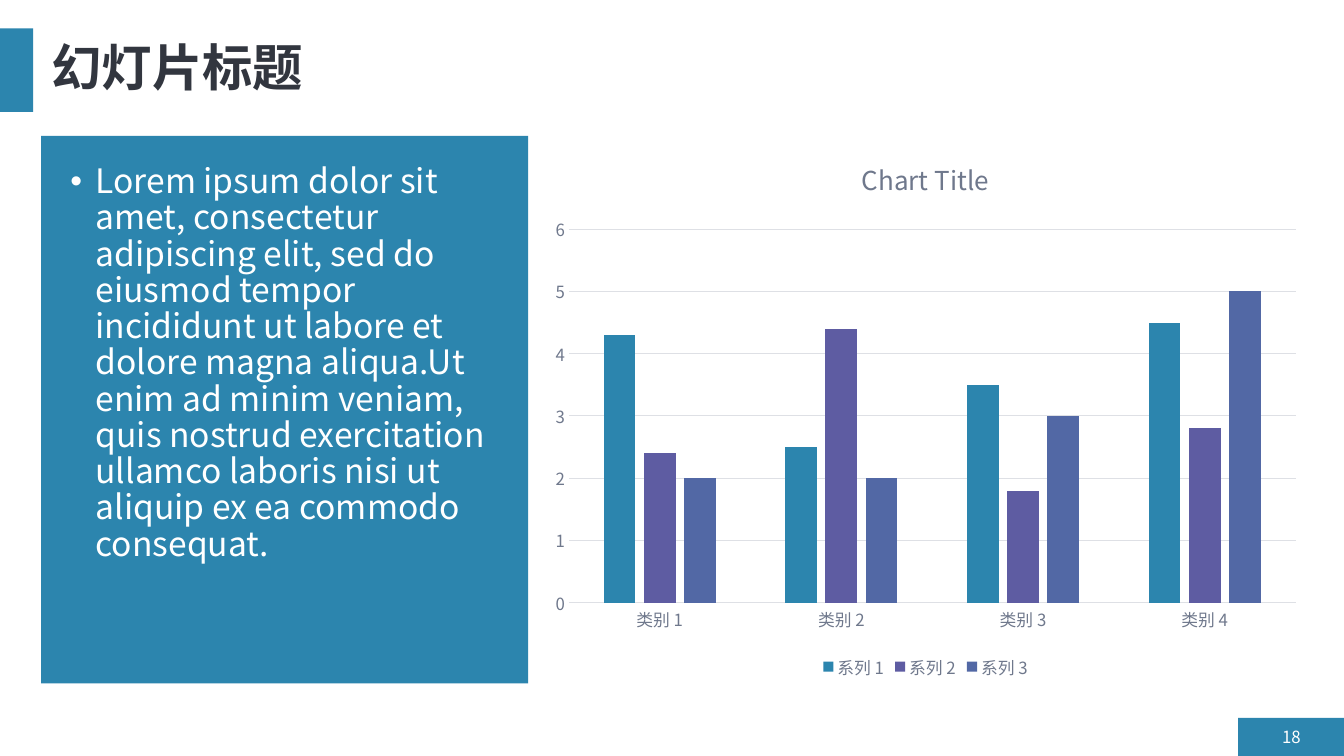
from lxml import etree
from pptx import Presentation
from pptx.chart.data import CategoryChartData
from pptx.dml.color import RGBColor
from pptx.enum.chart import XL_CHART_TYPE as CT, XL_LEGEND_POSITION as LP, XL_TICK_MARK as TM
from pptx.enum.shapes import MSO_SHAPE
from pptx.enum.text import MSO_ANCHOR, PP_ALIGN
from pptx.oxml.ns import qn
from pptx.util import Pt

FONT = "Noto Sans CJK SC"
COLORS = {
    "teal": "2C85AE",
    "purple": "5E5CA2",
    "blue": "5268A5",
    "dark": "32363F",
    "gray": "6F788C",
    "grid": "DEE0E5",
    "white": "FFFFFF",
}
BODY = (
    "Lorem ipsum dolor sit amet, consectetur adipiscing elit, sed do eiusmod "
    "tempor incididunt ut labore et dolore magna aliqua.Ut enim ad minim veniam, "
    "quis nostrud exercitation ullamco laboris nisi ut aliquip ex ea commodo consequat."
)
CATEGORIES = ["类别 1", "类别 2", "类别 3", "类别 4"]
SERIES = [
    ("系列 1", (4.3, 2.5, 3.5, 4.5), "teal"),
    ("系列 2", (2.4, 4.4, 1.8, 2.8), "purple"),
    ("系列 3", (2, 2, 3, 5), "blue"),
]


def rgb(name):
    return RGBColor.from_string(COLORS[name])


def style_font(font, size, color, bold=False):
    font.name, font.size, font.bold = FONT, Pt(size), bold
    font.color.rgb = rgb(color)
    # East Asian typeface sits right after the Latin one
    ea = etree.Element(qn("a:ea"), typeface=FONT)
    font._rPr.find(qn("a:latin")).addnext(ea)


def add_block(slide, x, y, w, h):
    sp = slide.shapes.add_shape(MSO_SHAPE.RECTANGLE, Pt(x), Pt(y), Pt(w), Pt(h))
    sp.shadow.inherit = False
    sp.fill.solid()
    sp.fill.fore_color.rgb = rgb("teal")
    sp.line.fill.background()


def add_text(slide, text, x, y, w, h, size, color, bold=False,
             anchor=MSO_ANCHOR.MIDDLE, align=PP_ALIGN.LEFT, spacing=None):
    tf = slide.shapes.add_textbox(Pt(x), Pt(y), Pt(w), Pt(h)).text_frame
    tf.word_wrap = True
    tf.vertical_anchor = anchor
    tf.text = text
    p = tf.paragraphs[0]
    p.alignment = align
    p.line_spacing = spacing
    style_font(p.runs[0].font, size, color, bold)
    return tf


def add_bullet(p, indent):
    pPr = p._p.get_or_add_pPr()
    pPr.set("marL", str(Pt(indent)))
    pPr.set("indent", str(-Pt(indent)))
    etree.SubElement(pPr, qn("a:buFont"), typeface="Arial")
    etree.SubElement(pPr, qn("a:buChar"), char="•")


def style_line(line, color):
    line.color.rgb = rgb(color)
    line.width = Pt(0.75)


def add_column_chart(slide, x, y, w, h):
    data = CategoryChartData()
    data.categories = CATEGORIES
    for name, values, _ in SERIES:
        data.add_series(name, values)
    chart = slide.shapes.add_chart(
        CT.COLUMN_CLUSTERED, Pt(x), Pt(y), Pt(w), Pt(h), data).chart
    style_font(chart.font, 10, "dark")

    # Title and legend
    chart.has_title = True
    title = chart.chart_title
    title.include_in_layout = False
    title.text_frame.text = "Chart Title"
    style_font(title.text_frame.paragraphs[0].runs[0].font, 18.6, "gray")
    chart.has_legend = True
    chart.legend.position = LP.BOTTOM
    chart.legend.include_in_layout = False
    style_font(chart.legend.font, 12, "gray")

    # Axes
    cat_axis, val_axis = chart.category_axis, chart.value_axis
    for axis in (cat_axis, val_axis):
        axis.major_tick_mark = axis.minor_tick_mark = TM.NONE
        style_font(axis.tick_labels.font, 12, "gray")
    style_line(cat_axis.format.line, "grid")
    val_axis.format.line.fill.background()
    val_axis.minimum_scale, val_axis.maximum_scale, val_axis.major_unit = 0, 6, 1
    style_line(val_axis.major_gridlines.format.line, "grid")

    # Columns
    plot = chart.plots[0]
    plot.vary_by_categories = False
    plot.gap_width, plot.overlap = 219, -27
    for series, (_, _, color) in zip(plot.series, SERIES):
        series.invert_if_negative = False
        series.format.fill.solid()
        series.format.fill.fore_color.rgb = rgb(color)


def main():
    prs = Presentation()
    prs.slide_width, prs.slide_height = Pt(960), Pt(540)
    slide = prs.slides.add_slide(prs.slide_layouts[6])

    # Page number tab, title tab, text panel
    add_block(slide, 884.3, 512.8, 75.7, 27.2)
    add_block(slide, 0, 20.3, 23.6, 59.7)
    add_block(slide, 29.3, 97.1, 347.9, 391)

    # Title and page number
    add_text(slide, "幻灯片标题", 29.5, 20.2, 907, 59.8, 36, "dark", bold=True, spacing=0.9)
    add_text(slide, "18", 906.5, 518, 29.7, 16.6, 12, "white", align=PP_ALIGN.RIGHT)

    # Chart
    add_column_chart(slide, 385.8, 97.1, 550.6, 391)

    # Panel text
    tf = add_text(slide, BODY, 43.2, 114.5, 320.4, 358.6, 24, "white",
                  anchor=MSO_ANCHOR.TOP, spacing=0.9)
    tf.margin_top = Pt(3)
    add_bullet(tf.paragraphs[0], 18)

    prs.save("out.pptx")


if __name__ == "__main__":
    main()
